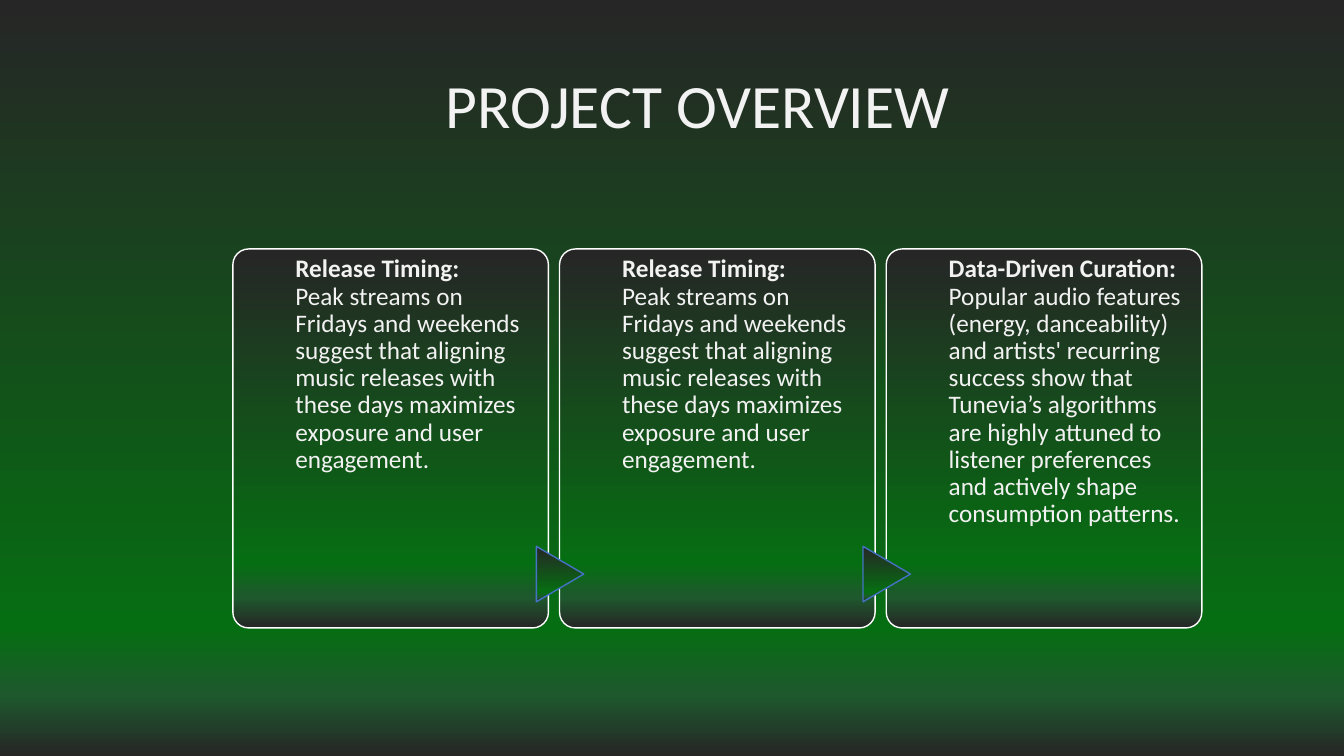
from lxml import etree
from pptx import Presentation
from pptx.dml.color import RGBColor
from pptx.enum import shapes, text
from pptx.oxml.ns import qn
from pptx.util import Inches, Pt

COLORS = {
    "dark": "262626",
    "green": "066E12",
    "moss": "1E582D",
    "white": "FFFFFF",
    "blue": "4472C4",
    "text": "F2F2F2",
}
GRADIENT = [(0, "dark"), (83, "green"), (92, "moss"), (100, "dark")]
TIMING = (
    "Release Timing:",
    "Peak streams on Fridays and weekends suggest that aligning music releases "
    "with these days maximizes exposure and user engagement.",
)
CURATION = (
    "Data-Driven Curation:",
    "Popular audio features (energy, danceability) and artists' recurring success "
    "show that Tunevia’s algorithms are highly attuned to listener preferences "
    "and actively shape consumption patterns.",
)


def paint_gradient(fill, element):
    fill.gradient()
    fill.gradient_angle = 270
    gradient = element.find(".//" + qn("a:gradFill"))
    gradient.set("rotWithShape", "0")
    stops = gradient.find(qn("a:gsLst"))
    for stop in list(stops):
        stops.remove(stop)
    for percent, color in GRADIENT:
        stop = etree.SubElement(stops, qn("a:gs"), pos=str(percent * 1000))
        etree.SubElement(stop, qn("a:srgbClr"), val=COLORS[color])


def add_span(para, words, size, bold=False):
    span = para.add_run()
    span.text = words
    span.font.name = "Calibri"
    span.font.size = Pt(size)
    span.font.bold = bold
    span.font.color.rgb = RGBColor.from_string(COLORS["text"])


deck = Presentation()
deck.slide_width = Inches(13.33)
deck.slide_height = Inches(7.5)
page = deck.slides.add_slide(deck.slide_layouts[5])
paint_gradient(page.background.fill, page.background._cSld)

title = page.shapes.title
title.left, title.top = Inches(1.17), Inches(0.35)
title.width, title.height = Inches(11.5), Inches(1.45)
title.text_frame.vertical_anchor = text.MSO_ANCHOR.MIDDLE
para = title.text_frame.paragraphs[0]
para.alignment = text.PP_ALIGN.CENTER
para.line_spacing = 0.9
add_span(para, "PROJECT OVERVIEW", 44)

top, height = 2.47, 3.76
for index, (heading, body) in enumerate([TIMING, TIMING, CURATION]):
    left = 2.31 + 3.24 * index
    card = page.shapes.add_shape(
        shapes.MSO_SHAPE.ROUNDED_RECTANGLE,
        Inches(left), Inches(top), Inches(3.13), Inches(height))
    card.adjustments[0] = 0.05
    outlined = [(card, "white")]
    if index:
        arrow = page.shapes.add_shape(
            shapes.MSO_SHAPE.FLOWCHART_EXTRACT,
            Inches(left - 0.27), Inches(5.46), Inches(0.55), Inches(0.47))
        arrow.rotation = 90
        outlined.append((arrow, "blue"))
    for shape, color in outlined:
        shape.shadow.inherit = False
        paint_gradient(shape.fill, shape._element)
        shape.line.color.rgb = RGBColor.from_string(COLORS[color])
        shape.line.width = Pt(1)

    box = page.shapes.add_textbox(
        Inches(left + 0.62), Inches(top), Inches(2.33), Inches(height))
    frame = box.text_frame
    frame.word_wrap = True
    frame.margin_left = frame.margin_right = frame.margin_bottom = 0
    frame.margin_top = Inches(0.07)
    para = frame.paragraphs[0]
    para.line_spacing = 0.9
    add_span(para, heading, 18, bold=True)
    para.add_line_break()
    add_span(para, body, 18)

deck.save("out.pptx")
